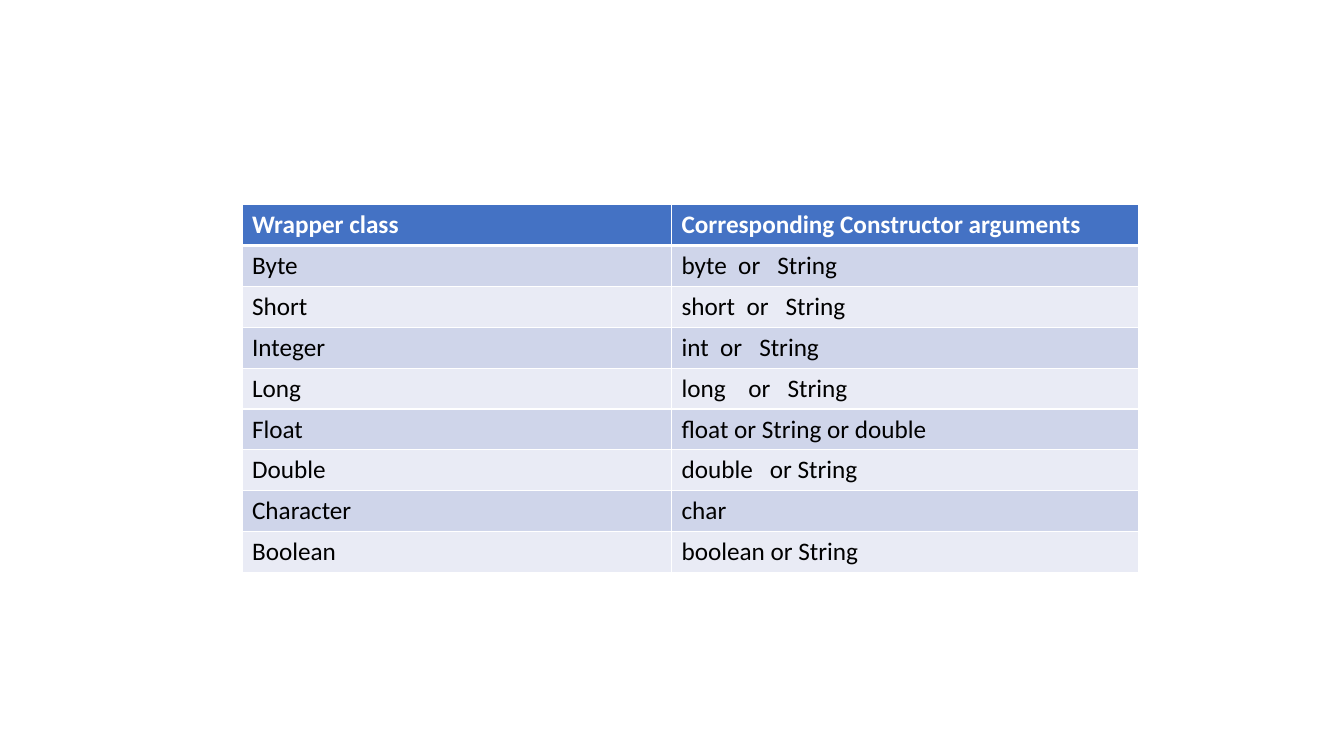
"""Builds a slide with a table of wrapper classes and their constructor arguments."""
from lxml import etree
from pptx import Presentation
from pptx.dml.color import RGBColor
from pptx.enum.text import MSO_ANCHOR
from pptx.oxml.ns import qn
from pptx.util import Inches, Pt

TOP = MSO_ANCHOR.TOP
WHITE = RGBColor(0xFF, 0xFF, 0xFF)
BLACK = RGBColor(0, 0, 0)
HEADER_BLUE = RGBColor(0x44, 0x72, 0xC4)
BANDS = (RGBColor(0xCF, 0xD5, 0xEA), RGBColor(0xE9, 0xEB, 0xF5))

WRAPPER_ROWS = [
    ("Wrapper class", "Corresponding Constructor arguments "),
    ("Byte", "byte  or   String"),
    ("Short", "short  or   String"),
    ("Integer", "int  or   String"),
    ("Long", "long    or   String"),
    ("Float", "float or String or double"),
    ("Double", "double   or String"),
    ("Character", "char"),
    ("Boolean", "boolean or String"),
]


class SlideBuilder:
    def __init__(self, slide, font="Calibri", size=18):
        self.slide = slide
        self.font = font
        self.size = Pt(size)

    def border(self, cell, side, width):
        tc_pr = cell._tc.get_or_add_tcPr()
        line = etree.SubElement(tc_pr, qn(f"a:ln{side}"), w=str(Pt(width)))
        fill = etree.SubElement(line, qn("a:solidFill"))
        etree.SubElement(fill, qn("a:srgbClr"), val=str(WHITE))

    def cell(self, cell, text, row):
        header = row == 0
        widths = {"L": 1, "R": 1, "T": 3 if row == 1 else 1, "B": 3 if header else 1}
        for side, width in widths.items():
            self.border(cell, side, width)
        cell.fill.solid()
        cell.fill.fore_color.rgb = HEADER_BLUE if header else BANDS[(row - 1) % 2]
        cell.vertical_anchor = TOP
        r = cell.text_frame.paragraphs[0].add_run()
        r.text = text
        r.font.name = self.font
        r.font.size = self.size
        r.font.bold = header
        r.font.color.rgb = WHITE if header else BLACK

    def table(self, rows, left, top, col_widths, height):
        table = self.slide.shapes.add_table(
            len(rows), len(col_widths), Inches(left), Inches(top),
            Inches(sum(col_widths)), Inches(height)).table
        for column, width in zip(table.columns, col_widths):
            column.width = Inches(width)
        for i, texts in enumerate(rows):
            for j, text in enumerate(texts):
                self.cell(table.cell(i, j), text, i)


prs = Presentation()
prs.slide_width = Inches(13.33)
prs.slide_height = Inches(7.5)
s = SlideBuilder(prs.slides.add_slide(prs.slide_layouts[6]))
s.table(WRAPPER_ROWS, 2.4, 2.03, (4.26, 4.63), 3.65)
prs.save("out.pptx")
